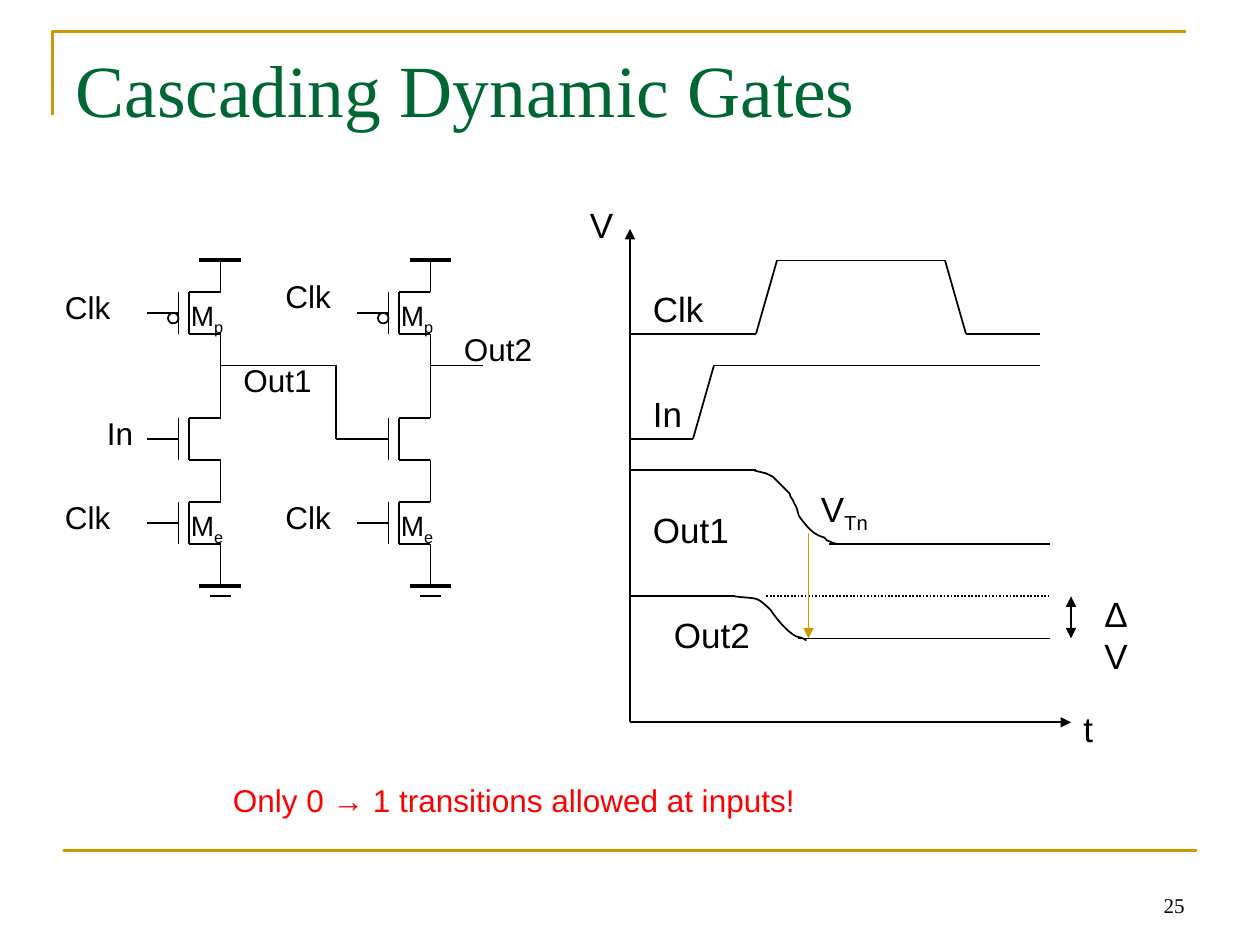
from dataclasses import dataclass
from itertools import pairwise

from lxml.etree import SubElement
from pptx import Presentation
from pptx.dml.color import RGBColor as RGB
from pptx.enum.dml import MSO_LINE as Dash
from pptx.enum.shapes import MSO_CONNECTOR as Conn, MSO_SHAPE as Shape
from pptx.enum.text import MSO_ANCHOR as Anchor, PP_ALIGN as Align
from pptx.oxml.ns import qn
from pptx.util import Inches, Pt


@dataclass(frozen=True)
class Theme:
    ink: RGB = RGB(0, 0, 0)
    gold: RGB = RGB(0xCC, 0x99, 0x00)
    green: RGB = RGB(0x00, 0x66, 0x33)
    red: RGB = RGB(0xFF, 0, 0)
    sans: str = "Arial"
    serif: str = "Times New Roman"
    title: int = 42
    wave: int = 20
    label: int = 18
    device: int = 16
    page: int = 12
    thin: float = 1
    frame: float = 1.5
    rail: float = 2.25


class Board:
    """Draws on one slide over a grid of 120 columns and 90 rows."""

    def __init__(self, prs, theme):
        self.t = theme
        self.s = prs.slides.add_slide(prs.slide_layouts[5])

    def at(self, col, row):
        return Inches(col / 12), Inches((row - 0.2) / 12)

    def size(self, cols, rows):
        return Inches(cols / 12), Inches(rows / 12)

    def style_line(self, line, color=None, width=None):
        line.color.rgb = color or self.t.ink
        line.width = Pt(width or self.t.thin)

    def style_runs(self, p, size, font=None, color=None):
        for r in p.runs:
            r.font.size = Pt(size)
            r.font.name = font or self.t.sans
            r.font.color.rgb = color or self.t.ink

    def wire(self, *points, color=None, width=None, dash=None, ends=()):
        for start, end in pairwise(points):
            c = self.s.shapes.add_connector(Conn.STRAIGHT, *self.at(*start), *self.at(*end))
            self.style_line(c.line, color, width)
            if dash:
                c.line.dash_style = dash
            for name in ends:
                SubElement(c.line._get_or_add_ln(), qn(f"a:{name}"), type="triangle")
            SubElement(c._element.spPr, qn("a:effectLst"))

    def outline(self, points, color=None, width=None, curved=False):
        places = [self.at(*p) for p in points]
        fb = self.s.shapes.build_freeform(*places[0])
        fb.add_line_segments(places[1:], close=False)
        sp = fb.convert_to_shape()
        sp.shadow.inherit = False
        sp.fill.background()
        self.style_line(sp.line, color, width)
        if curved:
            path = next(sp._element.iter(qn("a:path")))
            steps = path.findall(qn("a:lnTo"))
            for i in range(0, len(steps), 3):
                bend = SubElement(path, qn("a:cubicBezTo"))
                for step in steps[i:i + 3]:
                    bend.append(step[0])
                    path.remove(step)

    def bubble(self, col, row):
        sp = self.s.shapes.add_shape(Shape.OVAL, *self.at(col, row), *self.size(1, 1))
        sp.shadow.inherit = False
        sp.fill.background()
        self.style_line(sp.line)

    def text(self, text, col, row, cols, size, sub="", rows=None, wrap=False,
             font=None, color=None, align=None, anchor=Anchor.TOP):
        box = self.s.shapes.add_textbox(*self.at(col, row), *self.size(cols, rows or size * 0.26))
        tf = box.text_frame
        tf.word_wrap = wrap
        tf.vertical_anchor = anchor
        p = tf.paragraphs[0]
        p.text = text
        p.alignment = align
        if sub:
            r = p.add_run()
            r.text = sub
            r._r.get_or_add_rPr().set("baseline", "-25000")
        self.style_runs(p, size, font, color)

    def title(self, text):
        sp = self.s.shapes.title
        sp.left, sp.top = self.at(6, 3.8)
        sp.width, sp.height = self.size(108, 15)
        tf = sp.text_frame
        tf.text = text
        tf.vertical_anchor = Anchor.TOP
        tf.paragraphs[0].alignment = Align.LEFT
        self.style_runs(tf.paragraphs[0], self.t.title, self.t.serif, self.t.green)

    def transistor(self, col, row, pmos=False):
        drain, gate, channel = col + 7, col + 3, col + 4
        self.wire((drain, row - 3), (drain, row), (channel, row), (channel, row + 4),
                  (drain, row + 4), (drain, row + 7))
        self.wire((gate, row), (gate, row + 4))
        self.wire((col, row + 2), (gate, row + 2))
        if pmos:
            self.bubble(col + 2, row + 2)

    def gate_stage(self, col):
        mid = col + 7
        self.wire((mid - 2, 25), (mid + 2, 25), width=self.t.rail)
        for row in (28, 40, 48):
            self.transistor(col, row, pmos=row == 28)
        self.wire((mid, 34), (mid, 38))
        self.wire((mid, 53), (mid, 56))
        self.wire((mid - 2, 56), (mid + 2, 56), width=self.t.rail)
        self.wire((mid - 1, 57), (mid + 1, 57))
        for sub, row in (("p", 28), ("e", 48)):
            self.text("M", col + 3, row, 5.6, self.t.device, sub=sub)


OUT1_FALL = [
    (71.8, 45), (72.2, 45.1), (72.6, 45.2), (73, 45.3), (73.2, 45.4), (73.6, 45.6), (73.6, 45.6),
    (74.4, 46.4), (73.3, 45.3), (74.9, 46.9), (75, 47), (75.2, 47.2), (75.2, 47.2),
    (75.2, 47.5), (75.4, 47.6), (75.5, 47.8), (75.6, 48.1), (75.7, 48.2), (75.8, 48.4),
    (76, 48.8), (76, 49.3), (76.2, 49.5), (76.9, 50.4), (77.4, 51.1), (78.5, 51.4),
    (78.7, 51.6), (78.8, 51.8), (79.1, 51.8), (79.2, 51.9), (79.7, 52), (79.7, 52)]
OUT2_FALL = [
    (70, 57), (70.7, 57.1), (71.3, 57.1), (71.9, 57.2), (72.4, 57.3), (73.1, 58), (73.4, 58.3),
    (74, 59.2), (74.9, 60.3), (75.8, 60.8), (76.2, 60.9), (76.6, 61), (76.8, 61.2)]


def draw_circuit(b):
    for col in (14, 34):
        b.gate_stage(col)
    b.wire((21, 35), (32, 35), (32, 42), (34, 42))
    b.wire((41, 35), (46, 35))
    for text, col, row, cols in (
            ("Clk", 5, 47, 6.8), ("Clk", 5, 27, 6.8), ("Out1", 22, 34, 9), ("In", 9, 39, 4.9),
            ("Clk", 26, 26, 6.8), ("Clk", 26, 47, 6.8), ("Out2", 43, 31, 9)):
        b.text(text, col, row, cols, b.t.label)


def draw_waveforms(b):
    b.wire((60, 69), (60, 22), ends=["tailEnd"])
    b.wire((60, 69), (102, 69), ends=["tailEnd"])
    b.wire((60, 32), (72, 32), (74, 25), (90, 25), (92, 32), (99, 32))
    b.wire((60, 42), (66, 42), (68, 35), (99, 35))
    b.wire((60, 45), (72, 45))
    b.wire((79, 52), (100, 52))
    b.outline(OUT1_FALL, curved=True)
    b.wire((60, 57), (70, 57))
    b.wire((76, 61), (100, 61))
    b.outline(OUT2_FALL, curved=True)
    b.wire((73, 57), (100, 57), dash=Dash.ROUND_DOT)
    b.wire((102, 57), (102, 61), ends=["headEnd", "tailEnd"])
    b.wire((77, 51), (77, 61), color=b.t.gold, ends=["tailEnd"])
    for text, sub, col, row, cols in (
            ("V", "", 55, 19, 4.7), ("t", "", 102, 67, 3.4), ("Clk", "", 61, 27, 7.2),
            ("In", "", 61, 37, 5.2), ("Out1", "", 61, 48, 9.6), ("Out2", "", 63, 58, 9.6),
            ("V", "Tn", 77, 46, 7.2)):
        b.text(text, col, row, cols, b.t.wave, sub=sub)
    b.text("ΔV", 104, 56, 6, b.t.wave, wrap=True)


def main():
    prs = Presentation()
    prs.slide_width, prs.slide_height = Inches(10), Inches(7.5)
    b = Board(prs, Theme())
    b.outline([(5, 11.2), (5, 3.2), (113, 3.2)], b.t.gold, b.t.frame)
    b.wire((6, 81.2), (114, 81.2), color=b.t.gold, width=b.t.frame)
    b.title("Cascading Dynamic Gates")
    draw_circuit(b)
    draw_waveforms(b)
    b.text("Only 0 → 1 transitions allowed at inputs!", 21, 74, 87, b.t.label,
           wrap=True, color=b.t.red)
    b.text("25", 86, 82.2, 28, b.t.page, rows=6, wrap=True, font=b.t.serif,
           align=Align.RIGHT, anchor=Anchor.BOTTOM)
    prs.save("out.pptx")


if __name__ == "__main__":
    main()
